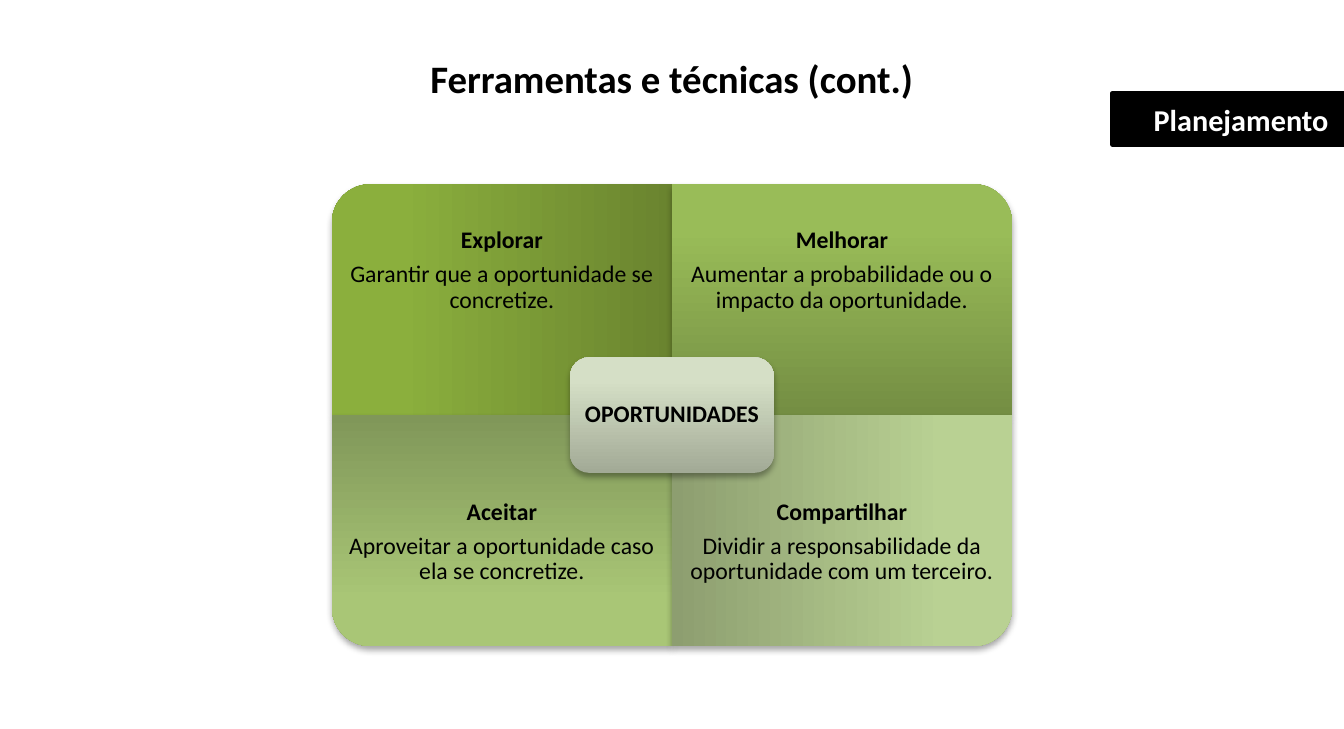
from pptx import Presentation
from pptx.dml.color import RGBColor
from pptx.enum.shapes import MSO_SHAPE
from pptx.enum.text import MSO_ANCHOR, MSO_AUTO_SIZE, PP_ALIGN
from pptx.oxml import parse_xml
from pptx.oxml.ns import nsdecls, qn
from pptx.util import Pt

INK = {
    "black": "000000",
    "white": "FFFFFF",
    "Explorar": ("6A842F", "8BAF3D", "8DB23B"),
    "Melhorar": ("748E43", "99BC58", "9BBE57"),
    "Aceitar": ("809759", "A9C676", "AAC876"),
    "Compartilhar": ("8D9E70", "B9D193", "BAD393"),
    "hub": ("A2AA96", "D5DFC6", "D6E1C6"),
}

WIDE, HIGH = 622.8, 337.68
CELL_W, CELL_H = 157.6, 107
MID_X, MID_Y = WIDE / 2, 192.3
TEXT_H = 80.2

PANELS = [
    ("Explorar", "Garantir que a oportunidade se concretize.", 270),
    ("Melhorar", "Aumentar a probabilidade ou o impacto da oportunidade.", 0),
    ("Aceitar", "Aproveitar a oportunidade caso ela se concretize.", 180),
    ("Compartilhar", "Dividir a responsabilidade da oportunidade com um terceiro.", 90),
]


def write(frame, *lines, size=11, color="black", bold=(True, False),
          align=PP_ALIGN.CENTER, anchor=MSO_ANCHOR.MIDDLE,
          inset=(7.2, 3.6, 7.2, 3.6), pitch=None, gap=0):
    frame.word_wrap = True
    frame.auto_size = MSO_AUTO_SIZE.NONE
    frame.vertical_anchor = anchor
    left, top, right, base = inset
    frame.margin_left, frame.margin_top = Pt(left), Pt(top)
    frame.margin_right, frame.margin_bottom = Pt(right), Pt(base)
    for num, (line, heavy) in enumerate(zip(lines, bold)):
        para = frame.add_paragraph() if num else frame.paragraphs[0]
        para.alignment = align
        para.space_before = Pt(gap if num else 0)
        if pitch:
            para.line_spacing = pitch
        run = para.add_run()
        run.text = line
        font = run.font
        font.name, font.size, font.bold = "Calibri", Pt(size), heavy
        font.color.rgb = RGBColor.from_string(INK[color])


class Deck:
    def __init__(self):
        self.show = Presentation()
        self.show.slide_width, self.show.slide_height = Pt(WIDE), Pt(HIGH)
        self.slide = self.show.slides.add_slide(self.show.slide_layouts[5])

    def title(self, text, x, y, w, h):
        head = self.slide.shapes.title
        head.left, head.top, head.width, head.height = Pt(x), Pt(y), Pt(w), Pt(h)
        write(head.text_frame, text, size=18, anchor=MSO_ANCHOR.TOP)

    def shape(self, kind, x, y, w, h):
        item = self.slide.shapes.add_shape(kind, Pt(x), Pt(y), Pt(w), Pt(h))
        item.shadow.inherit = False
        return item

    def tag(self, text, x, y, w, h):
        item = self.shape(MSO_SHAPE.RECTANGLE, x, y, w, h)
        black = RGBColor.from_string(INK["black"])
        item.fill.solid()
        item.fill.fore_color.rgb = black
        item.line.color.rgb = black
        item.line.width = Pt(2)
        write(item.text_frame, text, size=14, color="white", align=PP_ALIGN.RIGHT)

    def tile(self, kind, tone, x, y, w, h, turn=0):
        if turn % 180:
            x, y, w, h = x + (w - h) / 2, y + (h - w) / 2, h, w
        item = self.shape(kind, x, y, w, h)
        item.rotation = turn
        item.line.fill.background()
        item.fill.background()
        stops = "".join(
            f'<a:gs pos="{pos}"><a:srgbClr val="{hue}"/></a:gs>'
            for pos, hue in zip((0, 80000, 100000), INK[tone]))
        props = item.fill._xPr
        props.replace(props.find(qn("a:noFill")), parse_xml(
            f'<a:gradFill {nsdecls("a")} rotWithShape="1"><a:gsLst>{stops}</a:gsLst>'
            '<a:lin ang="16200000" scaled="0"/></a:gradFill>'))
        props.find(qn("a:effectLst")).append(parse_xml(
            f'<a:outerShdw {nsdecls("a")} blurRad="{Pt(3.1)}" dist="{Pt(1.8)}" '
            'dir="5400000" rotWithShape="0"><a:srgbClr val="000000">'
            '<a:alpha val="35000"/></a:srgbClr></a:outerShdw>'))

    def text(self, x, y, w, h, *lines, **form):
        box = self.slide.shapes.add_textbox(Pt(x), Pt(y), Pt(w), Pt(h))
        write(box.text_frame, *lines, pitch=0.9, **form)


def main():
    deck = Deck()
    deck.title("Ferramentas e técnicas (cont.)", 0, 21.6, WIDE, 28.8)
    deck.tag("Planejamento", 515.5, 43.2, 107.3, 23.8)

    for num, (name, note, turn) in enumerate(PANELS):
        row, col = divmod(num, 2)
        x = MID_X + (col - 1) * CELL_W
        y = MID_Y + (row - 1) * CELL_H
        deck.tile(MSO_SHAPE.ROUND_1_RECTANGLE, name, x, y, CELL_W, CELL_H, turn)
        deck.text(x, y + row * (CELL_H - TEXT_H), CELL_W, TEXT_H, name, note,
                  inset=(6.5, 6.5, 6.5, 6.5 + row * 16), gap=3.9)

    for w, h, draw in ((94.5, 53.5, True), (89.4, 48.2, False)):
        spot = (MID_X - w / 2, MID_Y - h / 2, w, h)
        if draw:
            deck.tile(MSO_SHAPE.ROUNDED_RECTANGLE, "hub", *spot)
        else:
            deck.text(*spot, "OPORTUNIDADES", inset=(3.6, 3.6, 3.6, 3.6))

    deck.show.save("out.pptx")


if __name__ == "__main__":
    main()
